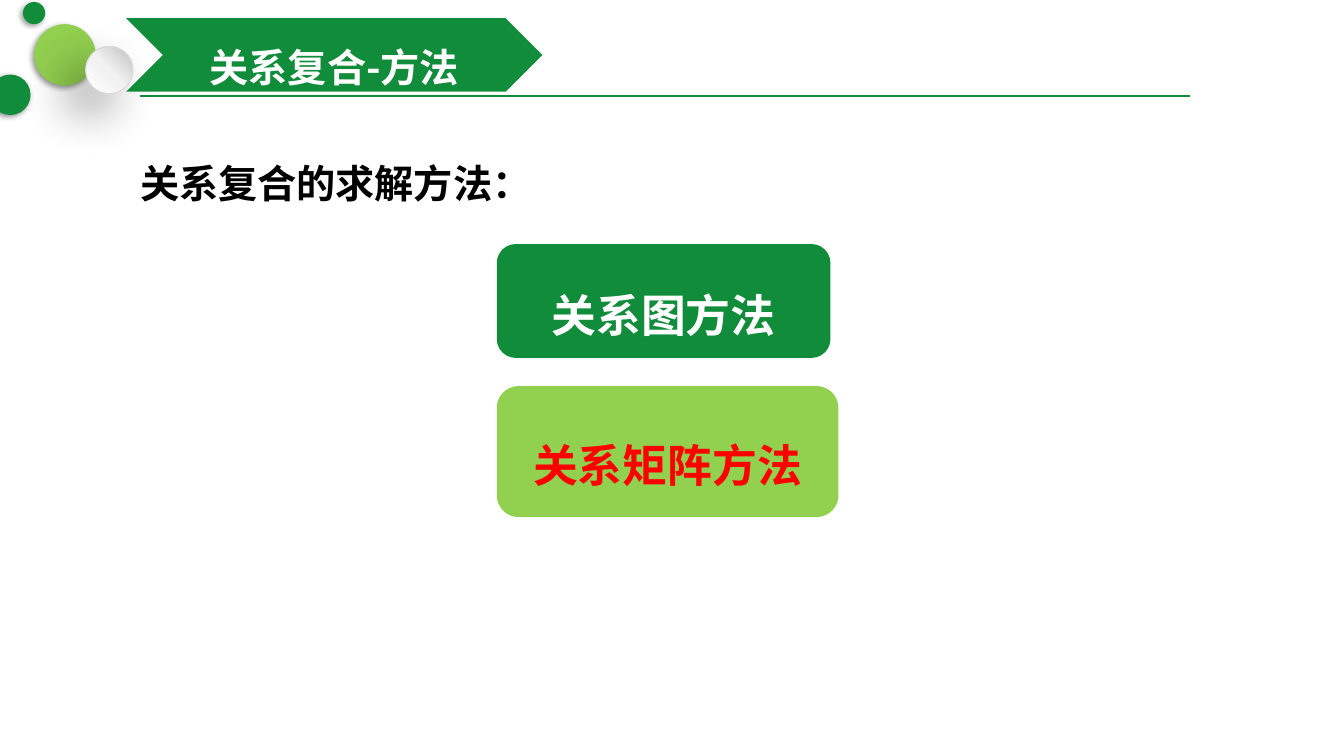
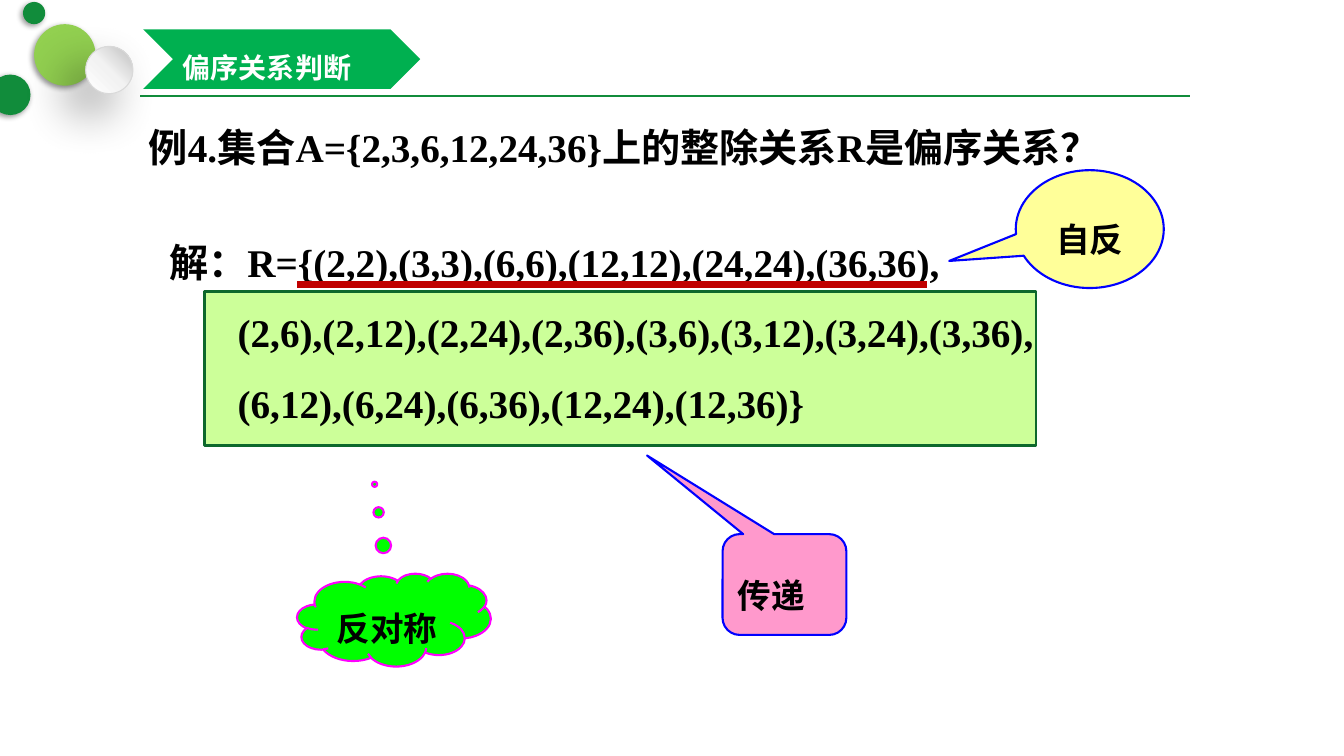
from lxml import etree
from pptx import Presentation
from pptx.dml.color import RGBColor
from pptx.enum import shapes, text
from pptx.oxml import ns
from pptx.util import Cm, Pt

# Shared style
GREEN, LIME, BRIGHT = "118C3B", "92D050", "00B050"
WHITE, BLACK, RED, BLUE = "FFFFFF", "000000", "FF0000", "0000FF"
SANS, SERIF = "Noto Sans CJK SC", "Times New Roman"
LEFT, CENTER = text.PP_ALIGN.LEFT, text.PP_ALIGN.CENTER
KIND = shapes.MSO_SHAPE


def color(value):
    return RGBColor.from_string(value)


def child(parent, tag, **attributes):
    return etree.SubElement(parent, ns.qn(tag), attributes)


class Deck:
    def __init__(self):
        self.presentation = Presentation()
        self.presentation.slide_width = Cm(33.87)
        self.presentation.slide_height = Cm(19.05)
        self.slide = None

    def new_slide(self):
        """Start a slide with the header rule and the ball ornament."""
        layout = self.presentation.slide_layouts[6]
        self.slide = self.presentation.slides.add_slide(layout)
        self.rule(3.53, 30, 2.41, GREEN, 1.25)
        self.ball(0.86, 0.61, 1.55, LIME)
        self.ball(-0.25, 1.88, 1.02, GREEN)
        pearl = self.ball(2.16, 1.17, 1.19, WHITE, blur=35, distance=20)
        self.shade_pearl(pearl)
        self.ball(0.58, 0.05, 0.56, GREEN)

    def rule(self, left, right, top, line, width):
        connector = self.slide.shapes.add_connector(
            shapes.MSO_CONNECTOR.STRAIGHT, Cm(left), Cm(top), Cm(right), Cm(top))
        connector.line.color.rgb = color(line)
        connector.line.width = Pt(width)
        child(connector._element.spPr, "a:effectLst")

    def shape(self, kind, box, fill, line=None, width=1.5, adjustments=()):
        shape = self.slide.shapes.add_shape(kind, *map(Cm, box))
        shape.shadow.inherit = False
        shape.fill.solid()
        shape.fill.fore_color.rgb = color(fill)
        if line:
            shape.line.color.rgb = color(line)
            shape.line.width = Pt(width)
        else:
            shape.line.fill.background()
        for index, value in enumerate(adjustments):
            shape.adjustments[index] = value
        return shape

    def ball(self, left, top, size, fill, blur=4, distance=2):
        ball = self.shape(KIND.OVAL, (left, top, size, size), fill)
        effects = ball._element.spPr.find(ns.qn("a:effectLst"))
        shadow = child(effects, "a:outerShdw", blurRad=str(Pt(blur)),
                       dist=str(Pt(distance)), dir="8100000", algn="tr", rotWithShape="0")
        shadow_color = child(shadow, "a:srgbClr", val=BLACK)
        child(shadow_color, "a:alpha", val="40000")
        return ball

    def shade_pearl(self, pearl):
        pearl.line.color.rgb = color("D9D9D9")
        pearl.line.width = Pt(0.75)
        pearl.fill.gradient()
        pearl.fill.gradient_angle = 45
        stops = pearl._element.spPr.find(ns.qn("a:gradFill")).find(ns.qn("a:gsLst"))
        for stop in list(stops):
            stops.remove(stop)
        for position, value in ((0, WHITE), (50, "F2F2F2"), (100, "BFBFBF")):
            stop = child(stops, "a:gs", pos=str(position * 1000))
            child(stop, "a:srgbClr", val=value)

    def set_text(self, shape, lines, size, ink, align=LEFT, latin=SANS, indent=0):
        """Fill a shape with bold lines; lines after the first are indented."""
        frame = shape.text_frame
        frame.word_wrap = True
        for index, line in enumerate(lines):
            paragraph = frame.add_paragraph() if index else frame.paragraphs[0]
            paragraph.text = line
            paragraph.alignment = align
            paragraph.line_spacing = 1.5
            properties = paragraph._p.get_or_add_pPr()
            if index and indent:
                properties.set("marL", str(Cm(indent)))
            font = paragraph.font
            font.size, font.bold, font.name = Pt(size), True, latin
            font.color.rgb = color(ink)
            child(properties.find(ns.qn("a:defRPr")), "a:ea", typeface=SANS)

    def title(self, box, caption, fill, size, align):
        self.set_text(self.shape(KIND.CHEVRON, box, fill), [caption], size, WHITE, align)

    def text_box(self, box, lines, latin=SANS, indent=0):
        shape = self.slide.shapes.add_textbox(*map(Cm, box))
        self.set_text(shape, lines, 28, BLACK, latin=latin, indent=indent)

    def method_card(self, box, caption, fill, ink):
        card = self.shape(KIND.ROUNDED_RECTANGLE, box, fill)
        frame = card.text_frame
        frame.margin_left = frame.margin_right = 0
        frame.margin_top = frame.margin_bottom = 0
        self.set_text(card, [caption], 32, ink, CENTER)

    def callout(self, kind, box, caption, fill, line, adjustments, align=CENTER):
        shape = self.shape(kind, box, fill, line, adjustments=adjustments)
        self.set_text(shape, [caption], 24, BLACK, align)


def methods_slide(deck):
    deck.new_slide()
    deck.title((3.18, 0.46, 10.49, 1.85), "关系复合-方法", GREEN, 28, CENTER)
    deck.method_card((12.52, 6.15, 8.41, 2.87), "关系图方法", GREEN, WHITE)
    deck.method_card((12.52, 9.73, 8.61, 3.3), "关系矩阵方法", LIME, RED)
    deck.text_box((3.28, 3.3, 11, 1.88), ["关系复合的求解方法："])


def partial_order_slide(deck):
    deck.new_slide()
    # Example and its solution
    deck.shape(KIND.RECTANGLE, (5.16, 7.34, 20.95, 3.89), "CCFF99", "0D682C", 2)
    deck.text_box((3.5, 2.39, 27.2, 1.85),
                  ["例4.集合A={2,3,6,12,24,36}上的整除关系R是偏序关系？"], SERIF)
    deck.title((3.61, 0.74, 6.98, 1.5), "偏序关系判断", BRIGHT, 20, LEFT)
    deck.text_box((4.01, 5.28, 24, 5.64), [
        "解：R={(2,2),(3,3),(6,6),(12,12),(24,24),(36,36),",
        "(2,6),(2,12),(2,24),(2,36),(3,6),(3,12),(3,24),(3,36),",
        "(6,12),(6,24),(6,36),(12,24),(12,36)}",
    ], SERIF, indent=1.73)
    deck.rule(7.49, 23.37, 7.16, "C00000", 5)
    # Properties of the relation
    deck.callout(KIND.OVAL_CALLOUT, (25.6, 4.29, 3.73, 2.97), "自反",
                 "FFFF99", BLUE, (-0.95, 0.27))
    deck.callout(KIND.CLOUD_CALLOUT, (7.49, 14.45, 4.88, 2.34), "反对称",
                 "00FF00", "FF00FF", (-0.1, -1.46))
    deck.callout(KIND.ROUNDED_RECTANGULAR_CALLOUT, (18.21, 13.46, 3.12, 2.54), "传递",
                 "FF99CC", BLUE, (-1.11, -1.28, 0.17), LEFT)


def main():
    deck = Deck()
    methods_slide(deck)
    partial_order_slide(deck)
    deck.presentation.save("out.pptx")


if __name__ == "__main__":
    main()
